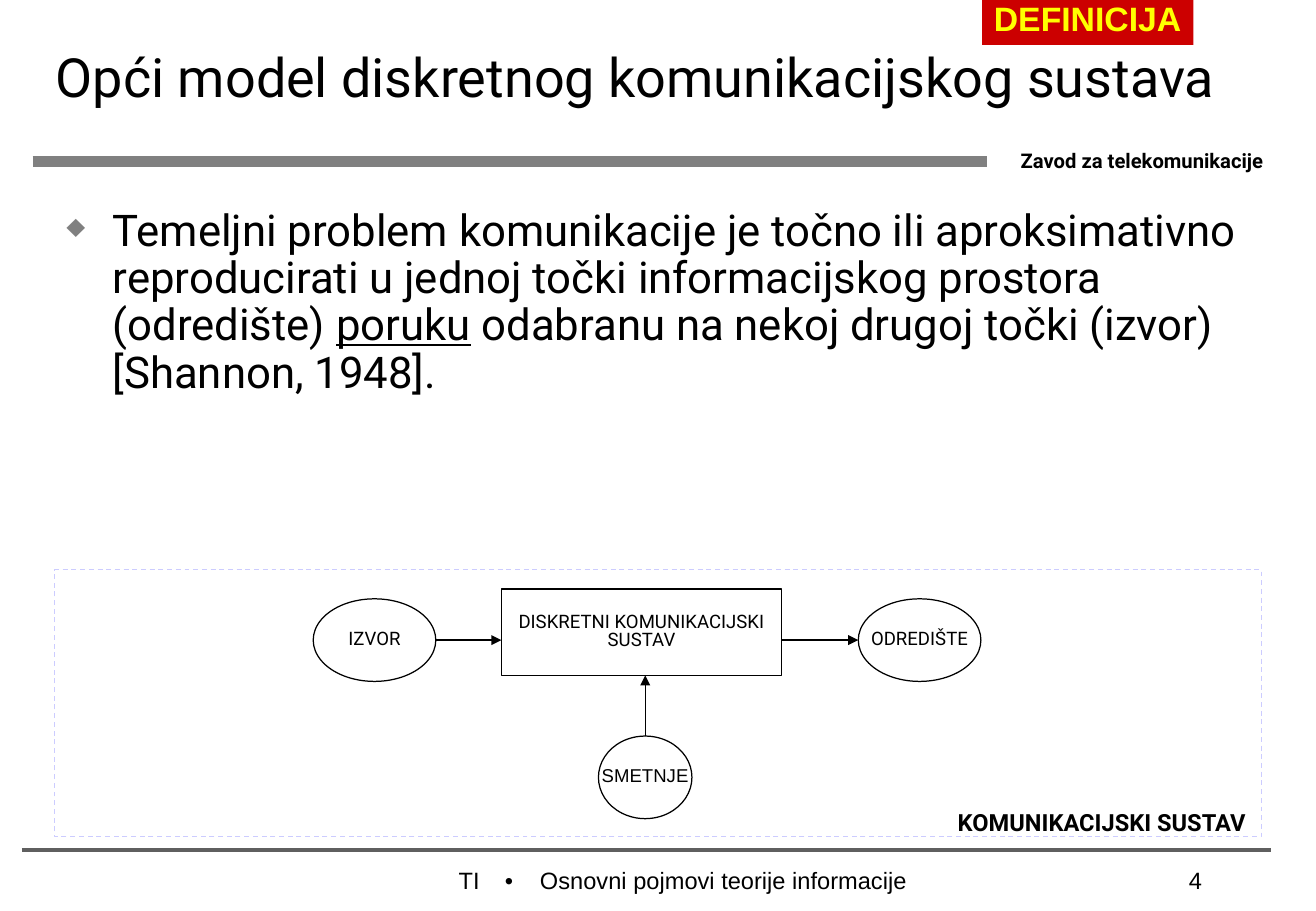
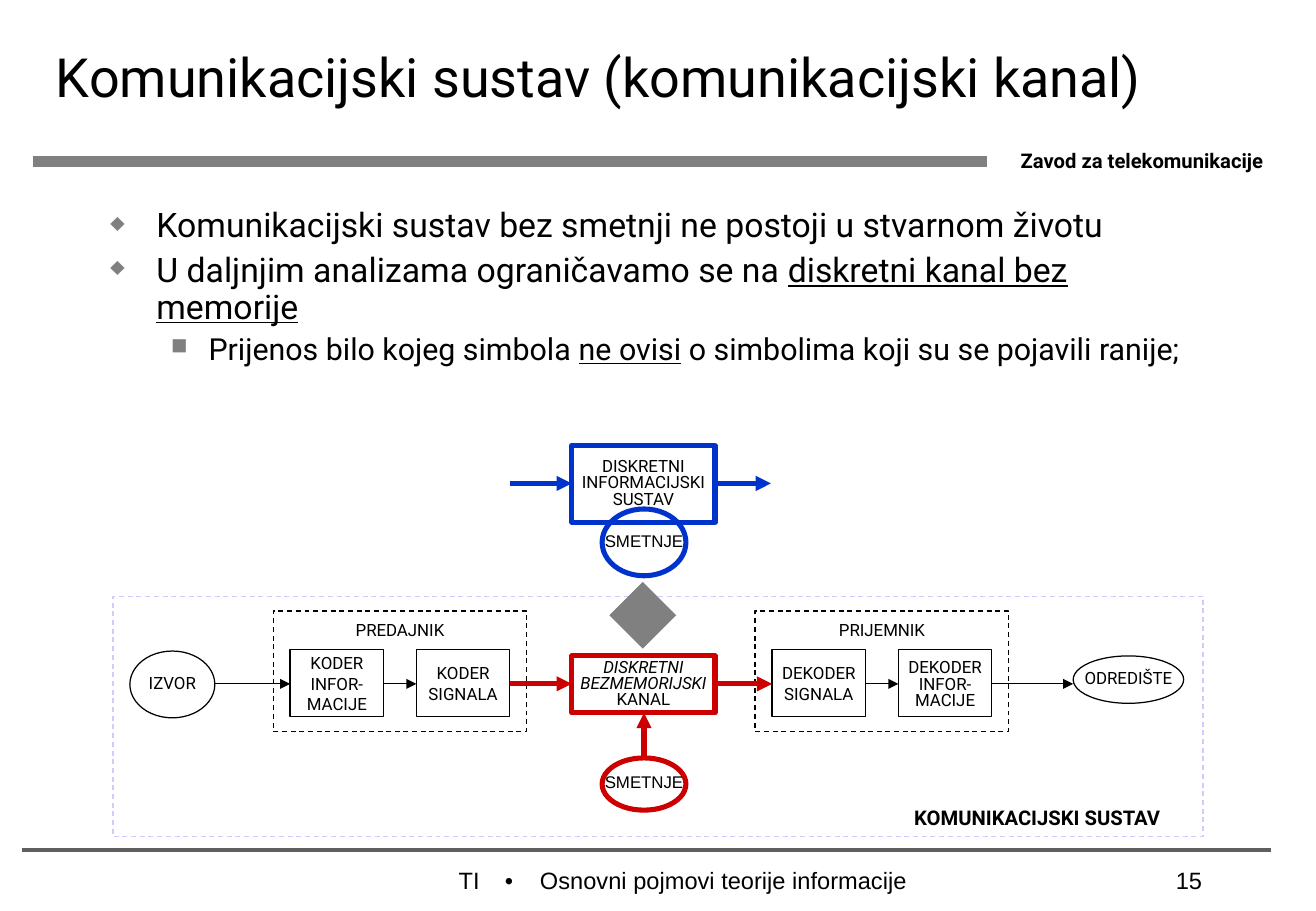
from dataclasses import dataclass

from lxml import etree
from pptx import Presentation
from pptx.dml.color import RGBColor
from pptx.enum.dml import MSO_LINE
from pptx.enum.shapes import MSO_CONNECTOR, MSO_SHAPE
from pptx.enum.text import MSO_ANCHOR, MSO_AUTO_SIZE, PP_ALIGN
from pptx.oxml.ns import qn
from pptx.util import Inches, Pt

RECT, OVAL = MSO_SHAPE.RECTANGLE, MSO_SHAPE.OVAL
DOUBLE_ARROW = MSO_SHAPE.UP_DOWN_ARROW
LEFT, CENTER, RIGHT = PP_ALIGN.LEFT, PP_ALIGN.CENTER, PP_ALIGN.RIGHT
TOP, MIDDLE = MSO_ANCHOR.TOP, MSO_ANCHOR.MIDDLE
DASH, STRAIGHT = MSO_LINE.DASH, MSO_CONNECTOR.STRAIGHT


@dataclass(frozen=True)
class Theme:
    text_font: str = "Roboto"
    plain_font: str = "Arial"
    black: str = "000000"
    gray: str = "808080"
    dark_gray: str = "5F5F5F"
    red: str = "CC0000"
    blue: str = "0033CC"
    yellow: str = "FFFF00"
    lilac: str = "CCCCFF"
    title: float = 32
    lead: float = 25.9
    tag: float = 20
    bullet: float = 20
    sub_bullet: float = 18
    footer: float = 14
    department: float = 12
    thin: float = 0.75
    thick: float = 3
    tight: float = 0.8


THEME = Theme()
WIDTH, HEIGHT = 10.84, 7.5
DEPARTMENT = "Zavod za telekomunikacije"
FOOTER = "TI\t•\tOsnovni pojmovi teorije informacije"
FOOTER_TABS = (0.38, 0.67)
SYSTEM = "KOMUNIKACIJSKI SUSTAV"
NOISE, SOURCE, SINK = "SMETNJE", "IZVOR", "ODREDIŠTE"

# Bullet levels: glyph, left margin, hanging indent
LEVELS = [("♦", 0.38, -0.38), ("■", 0.81, -0.31)]

# Bullets: level, size, space before, runs with style letters (u, i, b)
MODEL_BULLETS = [
    (0, THEME.lead, 0, [
        ("Temeljni problem komunikacije je točno ili aproksimativno reproducirati "
         "u jednoj točki informacijskog prostora (odredište) ", ""),
        ("poruku", "u"),
        (" odabranu na nekoj drugoj točki (izvor) [Shannon, 1948].", "")]),
]
CHANNEL_BULLETS = [
    (0, THEME.bullet, 0, [
        ("Komunikacijski sustav bez smetnji ne postoji u stvarnom životu", "")]),
    (0, THEME.bullet, 5, [
        ("U daljnjim analizama ograničavamo se na ", ""),
        ("diskretni kanal bez memorije", "u")]),
    (1, THEME.sub_bullet, 4.5, [
        ("Prijenos bilo kojeg simbola ", ""), ("ne ovisi", "u"),
        (" o simbolima koji su se pojavili ranije;", "")]),
]

# Stages: name, left, blocks as (lines, spacing of each line)
STAGES = [
    ("PREDAJNIK", 2.25, [(["KODER", "INFOR-", "MACIJE"], [1, 1, 1]),
                         (["KODER", "SIGNALA"], [1, 1])]),
    ("PRIJEMNIK", 6.22, [(["DEKODER", "SIGNALA"], [1, 1]),
                         (["DEKODER", "INFOR-", "MACIJE"], [1, 0.8, 0.8])]),
]


def rgb(value):
    return RGBColor.from_string(value)


def add_run(paragraph, text, size, style="", font=THEME.text_font, color=THEME.black):
    run = paragraph.add_run()
    run.text = text
    run.font.name, run.font.size = font, Pt(size)
    run.font.color.rgb = rgb(color)
    run.font.bold = "b" in style
    run.font.italic = "i" in style
    run.font.underline = "u" in style


def paragraphs_of(frame, count):
    return [frame.paragraphs[0]] + [frame.add_paragraph() for _ in range(count - 1)]


def add_box(slide, at):
    frame = slide.shapes.add_textbox(*map(Inches, at)).text_frame
    frame.word_wrap = True
    return frame


def add_label(slide, at, text, size, style="", align=LEFT, spacing=1,
              font=THEME.text_font):
    paragraph = add_box(slide, at).paragraphs[0]
    paragraph.alignment, paragraph.line_spacing = align, spacing
    add_run(paragraph, text, size, style, font)
    return paragraph


def add_tabs(paragraph, stops):
    tabs = etree.SubElement(paragraph._p.get_or_add_pPr(), qn("a:tabLst"))
    for stop in stops:
        etree.SubElement(tabs, qn("a:tab"), pos=str(Inches(stop)), algn="l")


def add_bullet(paragraph, level):
    glyph, margin, indent = LEVELS[level]
    props = paragraph._p.get_or_add_pPr()
    props.set("marL", str(Inches(margin)))
    props.set("indent", str(Inches(indent)))
    color = etree.SubElement(props, qn("a:buClr"))
    etree.SubElement(color, qn("a:srgbClr"), val=THEME.gray)
    etree.SubElement(props, qn("a:buSzPct"), val="75000")
    etree.SubElement(props, qn("a:buChar"), char=glyph)
    paragraph.level = level


def add_bullets(slide, at, bullets):
    frame = add_box(slide, at)
    for paragraph, bullet in zip(paragraphs_of(frame, len(bullets)), bullets):
        level, size, before, runs = bullet
        add_bullet(paragraph, level)
        paragraph.line_spacing, paragraph.space_before = 0.9, Pt(before)
        for text, style in runs:
            add_run(paragraph, text, size, style)


def add_line(slide, start, end, color=THEME.black, width=THEME.thin, arrow=False):
    connector = slide.shapes.add_connector(STRAIGHT, *map(Inches, start + end))
    connector.line.color.rgb, connector.line.width = rgb(color), Pt(width)
    etree.SubElement(connector._element.spPr, qn("a:effectLst"))
    if arrow:
        etree.SubElement(connector.line._get_or_add_ln(), qn("a:tailEnd"),
                         type="triangle")


def add_shape(slide, kind, at, line=None, width=THEME.thin, dash=None, fill=None):
    shape = slide.shapes.add_shape(kind, *map(Inches, at))
    shape.shadow.inherit = False
    if fill:
        shape.fill.solid()
        shape.fill.fore_color.rgb = rgb(fill)
    else:
        shape.fill.background()
    if line:
        shape.line.color.rgb, shape.line.width = rgb(line), Pt(width)
        if dash:
            shape.line.dash_style = dash
    else:
        shape.line.fill.background()
    return shape


def add_node(slide, kind, at, lines, size, spacings=None, styles=None, anchor=MIDDLE,
             font=THEME.text_font, color=THEME.black, **outline):
    """Draw an outlined diagram part with centred lines and return its place."""
    frame = add_shape(slide, kind, at, color, **outline).text_frame
    frame.word_wrap, frame.vertical_anchor = False, anchor
    if anchor == TOP:
        frame.margin_top = Inches(0.1)
    spacings = spacings or [THEME.tight] * len(lines)
    styles = styles or [""] * len(lines)
    rows = zip(paragraphs_of(frame, len(lines)), lines, spacings, styles)
    for paragraph, text, spacing, style in rows:
        paragraph.alignment, paragraph.line_spacing = CENTER, spacing
        add_run(paragraph, text, size, style, font)
    return at


def add_noise(slide, at, size, **outline):
    return add_node(slide, OVAL, at, [NOISE], size, font=THEME.plain_font, **outline)


def arrow_right(slide, y, source, target, **line):
    start = (source[0] + source[2], y)
    add_line(slide, start, (target[0], y), arrow=True, **line)


def arrow_up(slide, source, target, **line):
    x = source[0] + source[2] / 2
    add_line(slide, (x, source[1]), (x, target[1] + target[3]), arrow=True, **line)


def add_system_frame(slide, at, label_at, size):
    add_shape(slide, RECT, at, THEME.lilac, dash=DASH)
    add_label(slide, label_at, SYSTEM, size, "b", CENTER, THEME.tight)


def new_slide(deck, title, title_width, number):
    slide = deck.slides.add_slide(deck.slide_layouts[5])
    add_line(slide, (0.27, 1.33), (8.13, 1.33), THEME.gray, 6)
    add_label(slide, (8.31, 1.17, 2.53, 0.3), DEPARTMENT, THEME.department, "b")
    add_line(slide, (0.18, 7), (10.47, 7), THEME.dark_gray, 2.25)
    heading = slide.shapes.title
    heading.left, heading.top = Inches(0.36), Inches(0)
    heading.width, heading.height = Inches(title_width), Inches(1.25)
    frame = heading.text_frame
    frame.auto_size, frame.word_wrap = MSO_AUTO_SIZE.NONE, True
    frame.vertical_anchor = MIDDLE
    frame.paragraphs[0].alignment = LEFT
    add_run(frame.paragraphs[0], title, THEME.title)
    footer = add_label(slide, (3.68, 7.08, 5.07, 0.25), FOOTER, THEME.footer,
                       font=THEME.plain_font)
    add_tabs(footer, FOOTER_TABS)
    add_label(slide, (9.09, 7.08, 0.91, 0.25), str(number), THEME.footer,
              align=RIGHT, font=THEME.plain_font)
    return slide


def build_model(deck):
    slide = new_slide(deck, "Opći model diskretnog komunikacijskog sustava", 10.1, 4)
    tag = add_shape(slide, RECT, (8.09, 0, 1.74, 0.37), fill=THEME.red).text_frame
    tag.word_wrap, tag.vertical_anchor = False, TOP
    tag.paragraphs[0].alignment = CENTER
    tag.paragraphs[0].line_spacing = THEME.tight
    add_run(tag.paragraphs[0], "DEFINICIJA", THEME.tag, "b", THEME.plain_font,
            THEME.yellow)
    add_bullets(slide, (0.45, 1.67, 10.08, 1.93), MODEL_BULLETS)

    size, row = 11, 5.27
    add_system_frame(slide, (0.45, 4.69, 9.94, 2.2), (7.62, 6.65, 2.91, 0.29), 14)
    source = add_node(slide, OVAL, (2.58, 4.93, 1.01, 0.68), [SOURCE], size)
    system = add_node(slide, RECT, (4.13, 4.85, 2.31, 0.71),
                      ["DISKRETNI KOMUNIKACIJSKI", "SUSTAV"], size)
    sink = add_node(slide, OVAL, (7.07, 4.93, 1.01, 0.68), [SINK], size)
    noise = add_noise(slide, (4.93, 6.06, 0.77, 0.68), size)
    arrow_right(slide, row, source, system)
    arrow_right(slide, row, system, sink)
    arrow_up(slide, noise, system)


def build_channel(deck):
    slide = new_slide(deck, "Komunikacijski sustav (komunikacijski kanal)", 9.21, 15)
    add_bullets(slide, (0.81, 1.67, 9.21, 1.77), CHANNEL_BULLETS)

    size, row = 10, 5.63
    red = {"color": THEME.red, "width": THEME.thick}
    blue = {"color": THEME.blue, "width": THEME.thick}
    add_system_frame(slide, (0.93, 4.91, 8.98, 1.98), (7.26, 6.62, 2.57, 0.26), 12)

    chain = [add_node(slide, OVAL, (1.07, 5.36, 0.7, 0.55), [SOURCE], size)]
    for name, left, blocks in STAGES:
        add_node(slide, RECT, (left, 5.03, 2.09, 0.99), [name], size, anchor=TOP,
                 dash=DASH)
        for column, (lines, spacings) in enumerate(blocks):
            at = (left + 0.14 + column * 1.04, 5.35, 0.77, 0.55)
            chain.append(add_node(slide, RECT, at, lines, size, spacings))
    channel = add_node(slide, RECT, (4.71, 5.4, 1.18, 0.47),
                       ["DISKRETNI", "BEZMEMORIJSKI", "KANAL"], size,
                       styles=["i", "i", ""], **red)
    chain.insert(3, channel)
    chain.append(add_node(slide, OVAL, (8.84, 5.4, 0.91, 0.39), [SINK], size))
    for source, target in zip(chain, chain[1:]):
        line = red if channel in (source, target) else {}
        arrow_right(slide, row, source, target, **line)
    noise = add_noise(slide, (4.96, 6.24, 0.69, 0.43), size, **red)
    arrow_up(slide, noise, channel, **red)

    system = add_node(slide, RECT, (4.71, 3.67, 1.18, 0.63),
                      ["DISKRETNI", "INFORMACIJSKI", "SUSTAV"], size, **blue)
    add_noise(slide, (4.96, 4.19, 0.69, 0.55), size, **blue)
    for start, end in [(4.2, system[0]), (system[0] + system[2], 6.35)]:
        add_line(slide, (start, 3.98), (end, 3.98), arrow=True, **blue)
    link = add_shape(slide, DOUBLE_ARROW, (5.02, 4.79, 0.55, 0.55), fill=THEME.gray)
    link.adjustments[0], link.adjustments[1] = 0.445, 0.223


def main():
    deck = Presentation()
    deck.slide_width, deck.slide_height = Inches(WIDTH), Inches(HEIGHT)
    build_model(deck)
    build_channel(deck)
    deck.save("out.pptx")


if __name__ == "__main__":
    main()
